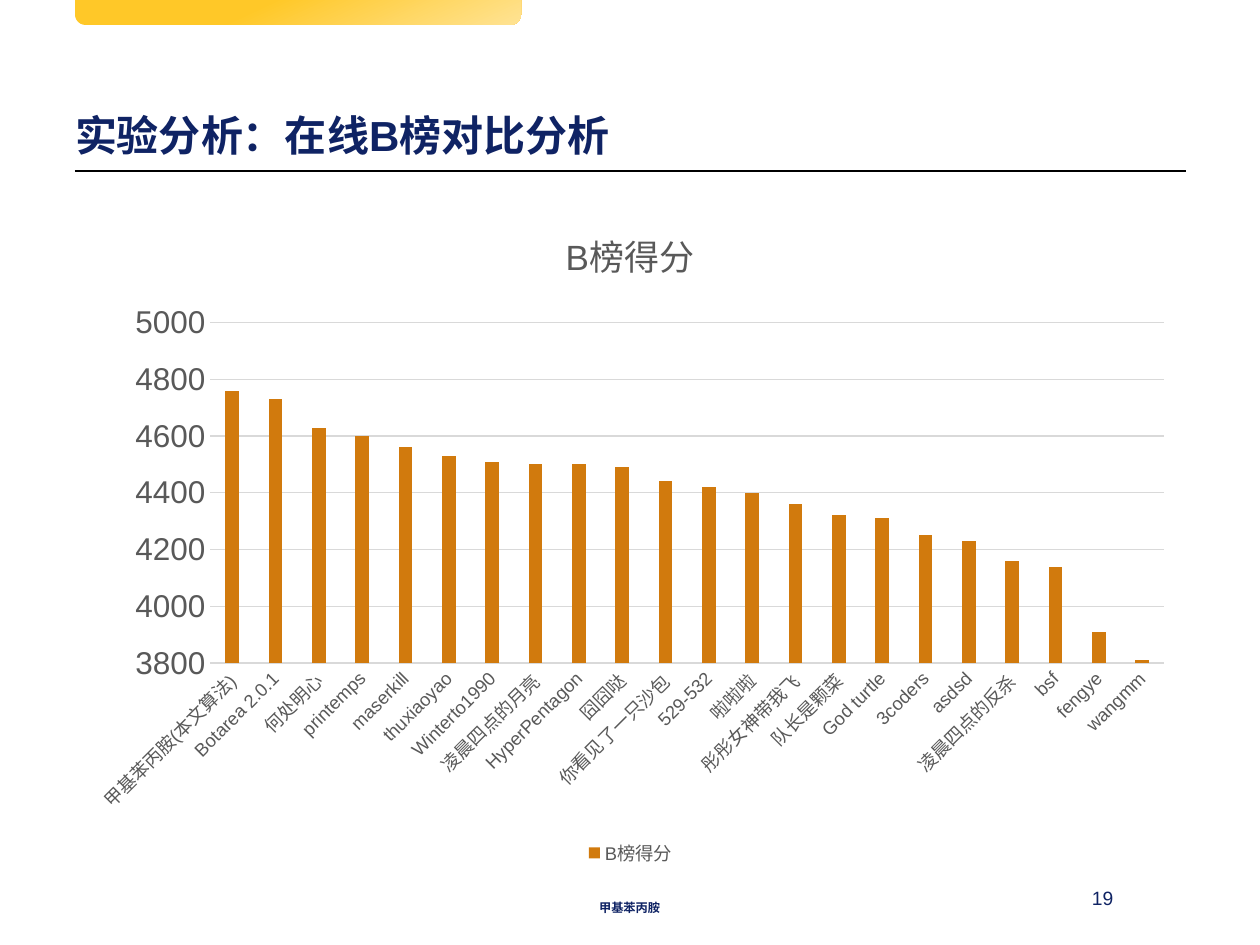
from dataclasses import dataclass
from typing import NamedTuple

from lxml import etree
from pptx import Presentation
from pptx.chart.data import CategoryChartData
from pptx.dml.color import RGBColor
from pptx.enum.chart import XL_CHART_TYPE as Chart, XL_LEGEND_POSITION as Legend, XL_TICK_MARK as Tick
from pptx.enum.shapes import MSO_CONNECTOR as Conn, MSO_SHAPE as Shape
from pptx.enum.text import MSO_ANCHOR as Anchor, MSO_AUTO_SIZE as AutoSize, PP_ALIGN as Align
from pptx.oxml.ns import qn
from pptx.util import Emu, Pt

PX = 914400 / 126


@dataclass(frozen=True)
class Theme:
    font: str = "Arial"
    navy: str = "0F2364"
    gray: str = "595959"
    grid: str = "D9D9D9"
    bar: str = "D17A0D"
    rule: str = "000000"
    tab_from: str = "FFC828"
    tab_to: str = "FFE393"
    title: float = 24
    chart_title: float = 20
    value: float = 18
    number: float = 11
    label: float = 10.5
    footer: float = 7


class Box(NamedTuple):
    x: int
    y: int
    w: int
    h: int

    def emu(self) -> list[Emu]:
        return [px(v) for v in self]


class Score(NamedTuple):
    player: str
    points: int


T = Theme()
SERIES = "B榜得分"
SCORES = [
    Score("甲基苯丙胺(本文算法)", 4760), Score("Botarea 2.0.1", 4730),
    Score("何处明心", 4630), Score("printemps", 4600),
    Score("maserkill", 4560), Score("thuxiaoyao", 4530),
    Score("Winterto1990", 4510), Score("凌晨四点的月亮", 4500),
    Score("HyperPentagon", 4500), Score("囧囧哒", 4490),
    Score("你看见了一只沙包", 4440), Score("529-532", 4420),
    Score("啦啦啦", 4400), Score("彤彤女神带我飞", 4360),
    Score("队长是颗菜", 4320), Score("God turtle", 4310),
    Score("3coders", 4250), Score("asdsd", 4230),
    Score("凌晨四点的反杀", 4160), Score("bsf", 4140),
    Score("fengye", 3910), Score("wangmm", 3810),
]


def px(n: int) -> Emu:
    return Emu(round(n * PX))


def rgb(color: str) -> RGBColor:
    return RGBColor.from_string(color)


def style_font(font, size: float, color: str, bold: bool = False) -> None:
    font.name, font.size, font.bold = T.font, Pt(size), bold
    font.color.rgb = rgb(color)


def style_line(line, color: str, width: float) -> None:
    line.color.rgb = rgb(color)
    line.width = Pt(width)


def write(tf, text: str, *, size: float, color: str = T.navy, bold: bool = False,
          align=Align.LEFT, anchor=Anchor.TOP, wrap: bool = True,
          insets: tuple[int, int, int, int] = (0, 0, 0, 0)) -> None:
    """Fill a text frame; insets are left, top, right, bottom in px."""
    tf.auto_size = AutoSize.NONE
    tf.word_wrap, tf.vertical_anchor = wrap, anchor
    tf.margin_left, tf.margin_top, tf.margin_right, tf.margin_bottom = map(px, insets)
    p = tf.paragraphs[0]
    p.alignment = align
    r = p.add_run()
    r.text = text
    style_font(r.font, size, color, bold)


def add_text(s, box: Box, text: str, **fmt) -> None:
    write(s.shapes.add_textbox(*box.emu()).text_frame, text, **fmt)


def add_tab(s, box: Box) -> None:
    sp = s.shapes.add_shape(Shape.ROUND_2_SAME_RECTANGLE, *box.emu())
    sp.adjustments[0], sp.adjustments[1] = 0, 0.42
    sp.shadow.inherit = False
    sp.line.fill.background()
    sp.fill.gradient()
    sp.fill.gradient_angle = 295
    stops = ((0.4, T.tab_from), (1, T.tab_to))
    for stop, (position, color) in zip(sp.fill.gradient_stops, stops):
        stop.position = position
        stop.color.rgb = rgb(color)


def add_rule(s, x1: int, x2: int, y: int) -> None:
    line = s.shapes.add_connector(Conn.STRAIGHT, px(x1), px(y), px(x2), px(y))
    style_line(line.line, T.rule, 1)
    etree.SubElement(line._element.spPr, qn("a:effectLst"))


def add_score_chart(s, box: Box) -> None:
    data = CategoryChartData()
    data.categories = [score.player for score in SCORES]
    data.add_series(SERIES, [score.points for score in SCORES])
    chart = s.shapes.add_chart(Chart.COLUMN_CLUSTERED, *box.emu(), data).chart
    style_font(chart.font, T.label, T.rule)

    chart.has_title = True
    p = chart.chart_title.text_frame.paragraphs[0]
    r = p.add_run()
    r.text = SERIES
    style_font(r.font, T.chart_title, T.gray)

    chart.has_legend = True
    chart.legend.position = Legend.BOTTOM
    chart.legend.include_in_layout = False
    style_font(chart.legend.font, T.label, T.gray)

    plot = chart.plots[0]
    plot.gap_width, plot.overlap, plot.vary_by_categories = 219, -27, False
    fill = plot.series[0].format.fill
    fill.solid()
    fill.fore_color.rgb = rgb(T.bar)

    cat, val = chart.category_axis, chart.value_axis
    for axis, size in ((cat, T.label), (val, T.value)):
        axis.major_tick_mark = axis.minor_tick_mark = Tick.NONE
        style_font(axis.tick_labels.font, size, T.gray)
    style_line(cat.format.line, T.grid, 0.75)
    cat._element.txPr.find(qn("a:bodyPr")).set("rot", str(-45 * 60000))
    val.format.line.fill.background()
    val.minimum_scale, val.maximum_scale, val.major_unit = 3800, 5000, 200
    style_line(val.major_gridlines.format.line, T.grid, 0.75)


def main() -> None:
    prs = Presentation()
    prs.slide_width, prs.slide_height = px(1260), px(945)
    s = prs.slides.add_slide(prs.slide_layouts[5])

    title = s.shapes.title
    title.left, title.top, title.width, title.height = Box(75, 96, 1111, 75).emu()
    write(title.text_frame, "实验分析：在线B榜对比分析", size=T.title, bold=True,
          insets=(0, 13, 0, 0))

    add_tab(s, Box(75, 0, 446, 25))
    add_rule(s, 75, 1186, 171)
    add_score_chart(s, Box(75, 199, 1111, 672))
    add_text(s, Box(501, 892, 257, 32), "甲基苯丙胺", size=T.footer, bold=True,
             align=Align.CENTER, anchor=Anchor.MIDDLE, insets=(25, 0, 25, 0))
    add_text(s, Box(1079, 880, 49, 37), "19", size=T.number, wrap=False,
             insets=(13, 6, 13, 6))

    prs.save("out.pptx")


if __name__ == "__main__":
    main()
